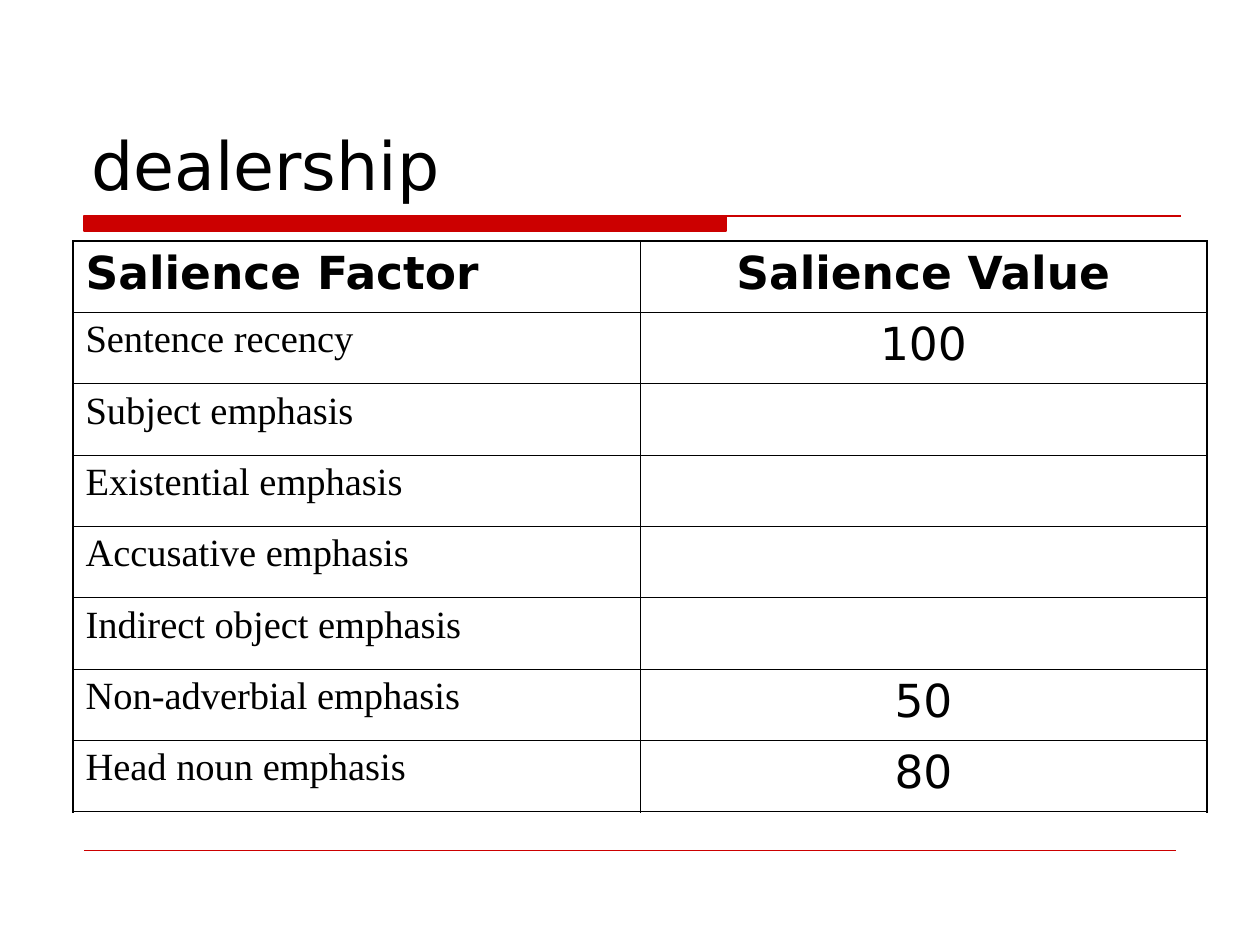
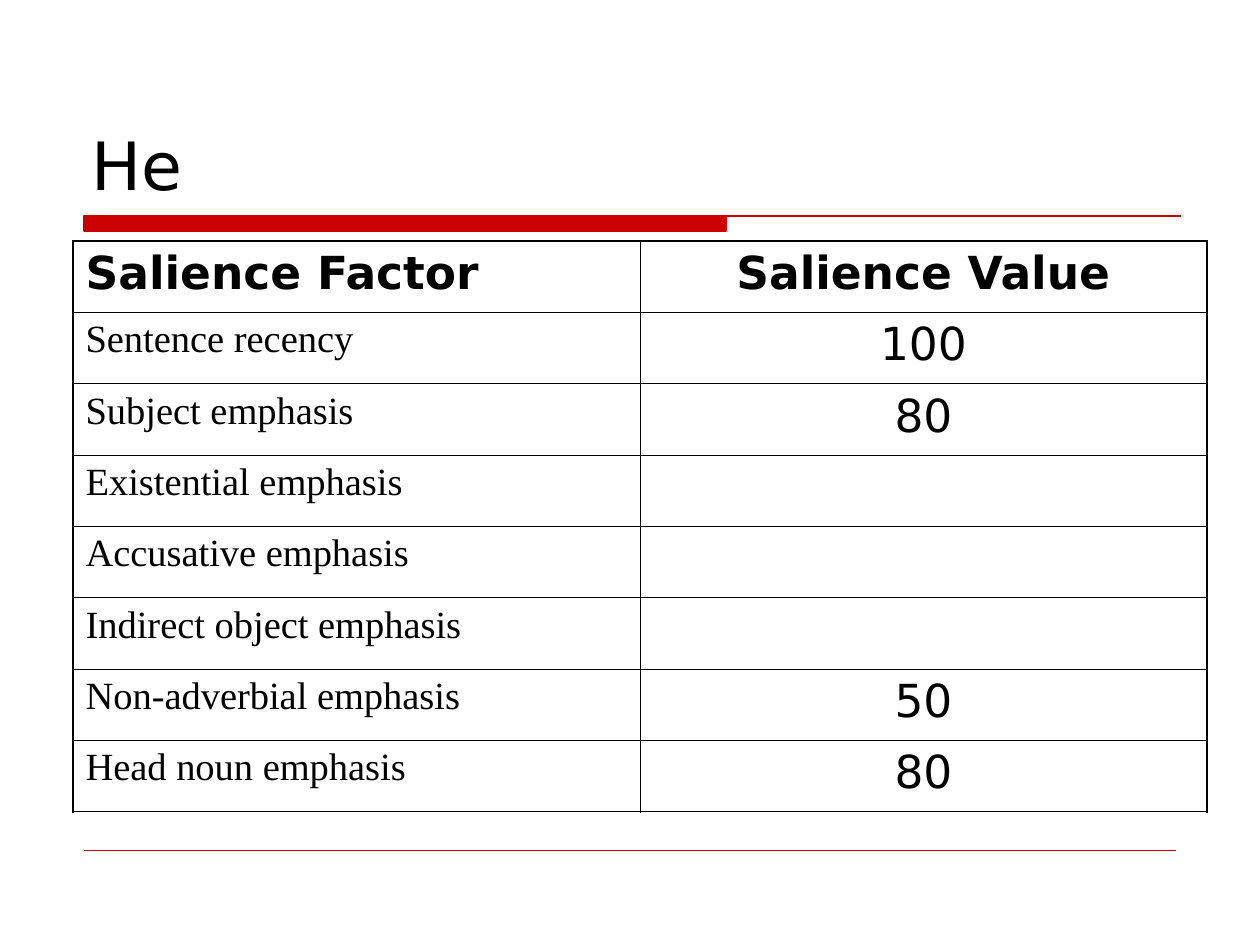
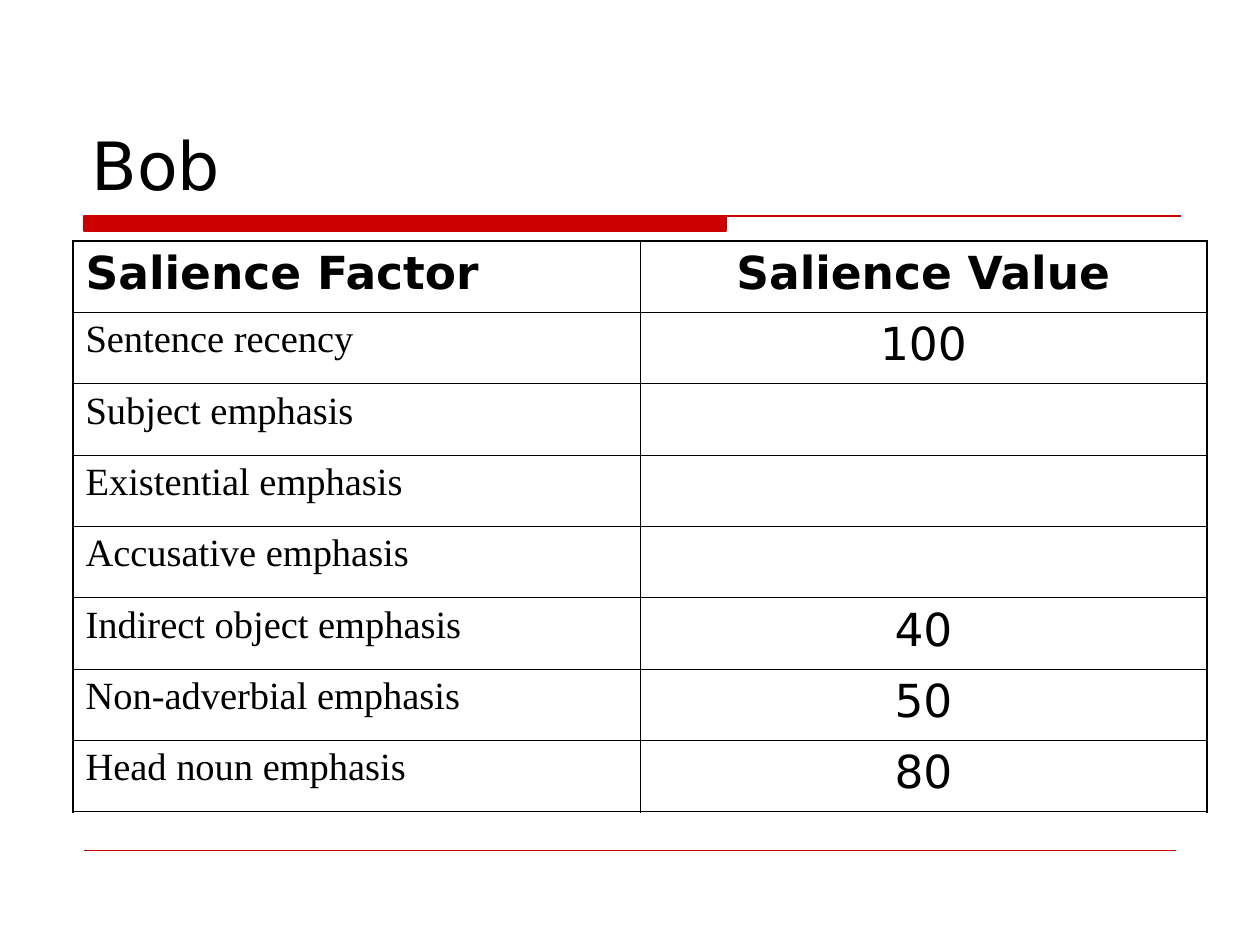
"""Build three salience tables, one for each candidate referent."""
from dataclasses import dataclass

from lxml import etree
from pptx import Presentation
from pptx import util as u
from pptx.dml.color import RGBColor
from pptx.enum import shapes, text
from pptx.oxml.ns import qn

PX_PER_INCH = 126


def px(length):
    return u.Emu(length * 914400 // PX_PER_INCH)


@dataclass(frozen=True)
class Theme:
    accent: str = "CC0000"
    ink: str = "000000"
    paper: str = "FFFFFF"
    sans: str = "DejaVu Sans"
    serif: str = "Times New Roman"
    title_size: int = 38
    value_size: int = 26
    factor_size: int = 22
    title_rule: float = 0.75
    footer_rule: float = 0.25
    outer_border: float = 1.08
    inner_border: float = 0.45


HEADINGS = ("Salience Factor", "Salience Value")
FACTORS = (
    "Sentence recency",
    "Subject emphasis",
    "Existential emphasis",
    "Accusative emphasis",
    "Indirect object emphasis",
    "Non-adverbial emphasis",
    "Head noun emphasis",
)
SHARED_VALUES = {
    "Sentence recency": "100",
    "Non-adverbial emphasis": "50",
    "Head noun emphasis": "80",
}
REFERENTS = {
    "dealership": {},
    "He": {"Subject emphasis": "80"},
    "Bob": {"Indirect object emphasis": "40"},
}


class Deck:
    def __init__(self, theme):
        self.theme = theme
        self.presentation = Presentation()
        self.presentation.slide_width = px(1260)
        self.presentation.slide_height = px(945)
        self.slide = None

    def new_slide(self, title):
        layout = self.presentation.slide_layouts[6]
        self.slide = self.presentation.slides.add_slide(layout)
        fill = self.slide.background.fill
        fill.solid()
        fill.fore_color.rgb = RGBColor.from_string(self.theme.paper)
        self.title_band(84, 216, 642, 15, 1097)
        self.line(84, 850, 1176, 850, self.theme.footer_rule)
        self.title(title, 79, 42, 1103, 168)

    def title_band(self, left, top, width, height, rule_width):
        right, bottom = left + width, top + height
        builder = self.slide.shapes.build_freeform(px(left), px(top), scale=1.0)
        corners = ((right, top), (right, bottom), (left, bottom))
        builder.add_line_segments([(px(x), px(y)) for x, y in corners], close=True)
        builder.move_to(px(left), px(top))
        builder.add_line_segments([(px(left + rule_width), px(top))], close=False)
        shape = builder.convert_to_shape()
        shape.shadow.inherit = False
        color = RGBColor.from_string(self.theme.accent)
        shape.fill.solid()
        shape.fill.fore_color.rgb = color
        shape.line.color.rgb = color
        shape.line.width = u.Pt(self.theme.title_rule)

    def line(self, x1, y1, x2, y2, weight):
        connector = self.slide.shapes.add_connector(
            shapes.MSO_CONNECTOR.STRAIGHT, px(x1), px(y1), px(x2), px(y2))
        connector.line.color.rgb = RGBColor.from_string(self.theme.accent)
        connector.line.width = u.Pt(weight)
        properties = connector._element.find(qn("p:spPr"))
        etree.SubElement(properties, qn("a:effectLst"))

    def title(self, words, left, top, width, height):
        shape = self.slide.shapes.add_textbox(px(left), px(top), px(width), px(height))
        frame = shape.text_frame
        frame.word_wrap = True
        frame.vertical_anchor = text.MSO_ANCHOR.BOTTOM
        self.run(frame.paragraphs[0], words, self.theme.sans, self.theme.title_size)

    def run(self, paragraph, words, font_name, size, bold=False):
        run = paragraph.add_run()
        run.text = words
        run.font.name = font_name
        run.font.size = u.Pt(size)
        run.font.bold = bold
        run.font.color.rgb = RGBColor.from_string(self.theme.ink)

    def table(self, rows, left, top, width, height):
        theme = self.theme
        frame = self.slide.shapes.add_table(
            len(rows), len(rows[0]), px(left), px(top), px(width), px(height))
        table = frame.table
        table.first_row = table.horz_banding = False
        last_row, last_column = len(rows) - 1, len(rows[0]) - 1
        for i, row in enumerate(rows):
            for j, words in enumerate(row):
                cell = table.cell(i, j)
                self.borders(cell, {"L": j == 0, "R": j == last_column,
                                    "T": i == 0, "B": i == last_row})
                cell.fill.background()
                paragraph = cell.text_frame.paragraphs[0]
                if j:
                    paragraph.alignment = text.PP_ALIGN.CENTER
                if not words:
                    continue
                if i and not j:
                    self.run(paragraph, words, theme.serif, theme.factor_size)
                else:
                    self.run(paragraph, words, theme.sans, theme.value_size, bold=i == 0)

    def borders(self, cell, outer_sides):
        properties = cell._tc.get_or_add_tcPr()
        for side, is_outer in outer_sides.items():
            weight = self.theme.outer_border if is_outer else self.theme.inner_border
            border = etree.SubElement(properties, qn(f"a:ln{side}"), w=str(u.Pt(weight)))
            fill = etree.SubElement(border, qn("a:solidFill"))
            etree.SubElement(fill, qn("a:srgbClr"), val=self.theme.ink)


def main():
    deck = Deck(Theme())
    for referent, own_values in REFERENTS.items():
        values = SHARED_VALUES | own_values
        deck.new_slide(referent)
        rows = [HEADINGS] + [(factor, values.get(factor, "")) for factor in FACTORS]
        deck.table(rows, 73, 241, 1134, 571)
    deck.presentation.save("out.pptx")


if __name__ == "__main__":
    main()
